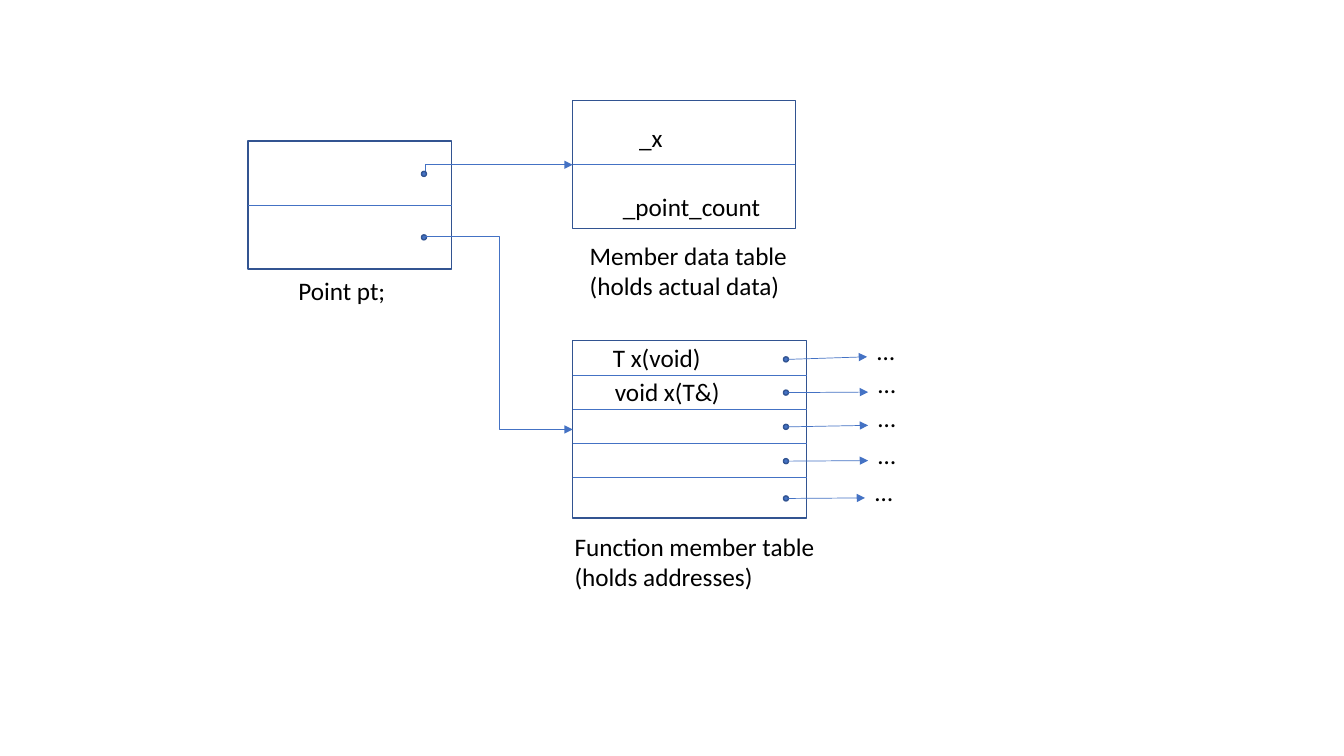
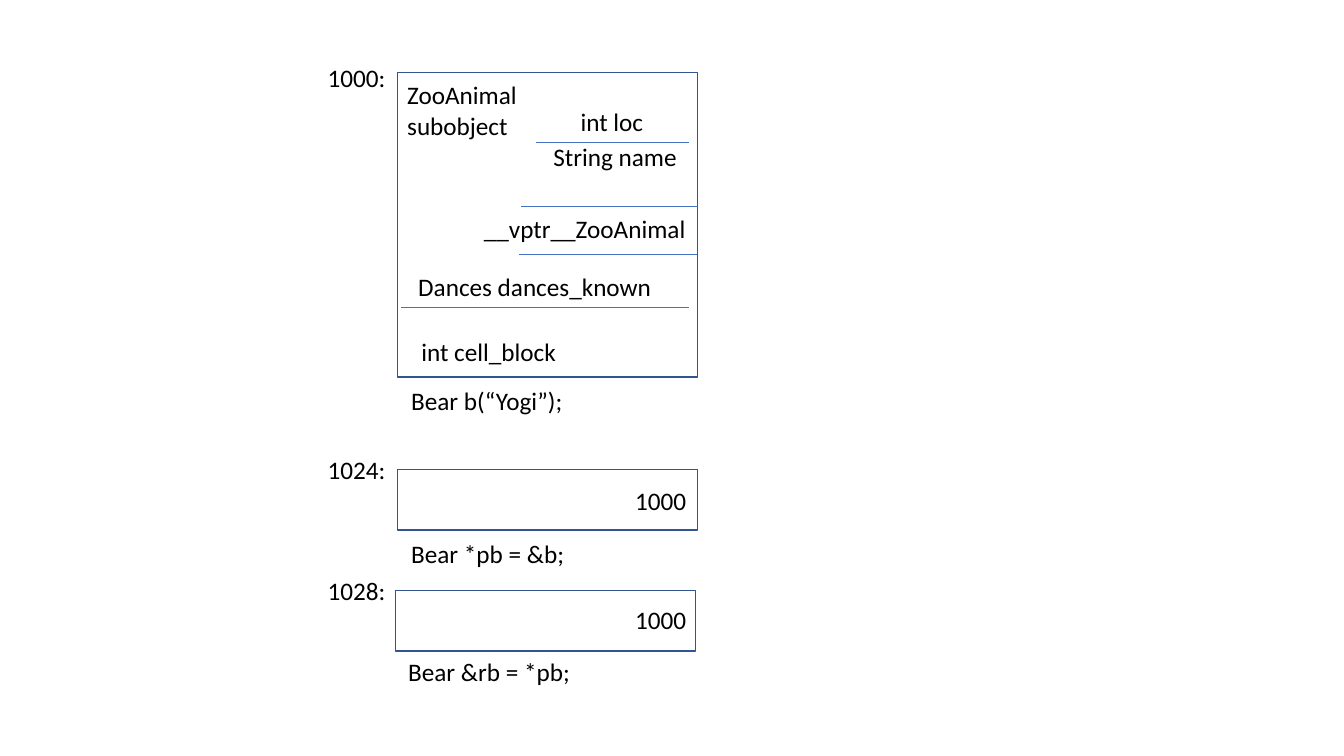
"""Build two C++ object memory layout diagrams."""
from lxml import etree
from pptx import Presentation
from pptx.dml.color import RGBColor
from pptx.enum.shapes import MSO_CONNECTOR as CONN, MSO_SHAPE as SHAPE
from pptx.enum.text import MSO_AUTO_SIZE as FIT, MSO_VERTICAL_ANCHOR as ANCHOR
from pptx.oxml.ns import qn
from pptx.util import Inches, Pt

COLORS = {"edge": "325491", "line": "4472C4", "text": "000000"}
FONT = {"name": "Calibri", "size": Pt(18)}
LEFT, RIGHT = 1, 3
DOT = 0.05

POINT_BOX = (2.46, 1.4, 2.02, 1.27)
DATA_BOX = (5.68, 1, 2.21, 1.27)
FUNCTION_BOX = (5.68, 3.38, 2.32, 1.76)
FIRST_DIVIDER, DIVIDER_STEP, DIVIDERS = 3.72, 0.34, 4
FUNCTION_DOT_X = 7.77
FUNCTION_ROWS = [
    {"dot": 3.54, "tip": (8.6, 3.54), "text": 3.28},
    {"dot": 3.87, "tip": (8.61, 3.89), "text": 3.61},
    {"dot": 4.21, "tip": (8.61, 4.22), "text": 3.94},
    {"dot": 4.55, "tip": (8.61, 4.57), "text": 4.31},
    {"dot": 4.92, "tip": (8.58, 4.94), "text": 4.68},
]
POINT_DOTS = [(4.18, 1.7), (4.18, 2.33)]
POINT_LABELS = [
    ("_x", 6.24, 1.16, 0.74, 0.4),
    ("_point_count", 6.08, 1.85, 1.58, 0.4),
    ("Member data table\n(holds actual data)", 5.75, 2.33, 2.18, 0.71),
    ("Function member table\n(holds addresses)", 5.6, 5.22, 2.61, 0.71),
    ("T x(void)", 5.98, 3.35, 1.08, 0.4),
    ("void x(T&)", 6, 3.68, 1.25, 0.4),
    ("Point pt;", 2.86, 2.68, 1.08, 0.4),
]

BEAR_BOXES = [
    (3.94, 0.72, 2.98, 3.02),
    (3.94, 4.66, 2.98, 0.6),
    (3.92, 5.86, 2.98, 0.6),
]
BEAR_DIVIDERS = [
    (5.32, 6.83, 1.41),
    (5.17, 6.92, 2.05),
    (5.15, 6.91, 2.52),
    (3.98, 6.83, 3.05),
]
BEAR_LABELS = [
    ("1000:", 3.15, 0.57, 0.78, 0.4),
    ("ZooAnimal\nsubobject", 3.94, 0.74, 1.3, 0.71),
    ("int loc", 5.66, 1.01, 0.83, 0.4),
    ("String name", 5.39, 1.35, 1.44, 0.4),
    ("__vptr__ZooAnimal", 4.7, 2.07, 2.22, 0.4),
    ("Dances dances_known", 4.05, 2.64, 2.54, 0.4),
    ("int cell_block", 4.08, 3.29, 1.55, 0.4),
    ("Bear b(“Yogi”);", 3.98, 3.77, 1.72, 0.4),
    ("1024:", 3.15, 4.46, 0.78, 0.4),
    ("1000", 6.2, 4.77, 0.71, 0.4),
    ("Bear *pb = &b;", 3.98, 5.29, 1.74, 0.4),
    ("1028:", 3.15, 5.66, 0.78, 0.4),
    ("1000", 6.2, 5.95, 0.71, 0.4),
    ("Bear &rb = *pb;", 3.95, 6.46, 1.83, 0.4),
]


def rgb(name):
    return RGBColor.from_string(COLORS[name])


def add_outline(s, kind, box, fill=None):
    sp = s.shapes.add_shape(kind, *map(Inches, box))
    sp.shadow.inherit = False
    if fill:
        sp.fill.solid()
        sp.fill.fore_color.rgb = rgb(fill)
    else:
        sp.fill.background()
    sp.line.color.rgb = rgb("edge")
    sp.line.width = Pt(1)
    return sp


def add_dot(s, x, y):
    return add_outline(s, SHAPE.OVAL, (x, y, DOT, DOT), "line")


def add_line(s, start, end, arrow=False, kind=CONN.STRAIGHT):
    cx = s.shapes.add_connector(kind, *map(Inches, (*start, *end)))
    cx.line.color.rgb = rgb("line")
    cx.line.width = Pt(0.5)
    if arrow:
        etree.SubElement(cx.line._get_or_add_ln(), qn("a:tailEnd"), type="triangle")
    etree.SubElement(cx._element.spPr, qn("a:effectLst"))
    return cx


def add_elbow(s, start, end, bend, target):
    cx = add_line(s, start, end, True, CONN.ELBOW)
    geom = cx._element.spPr.find(qn("a:prstGeom"))
    guides = geom.find(qn("a:avLst"))
    if guides is None:
        guides = etree.SubElement(geom, qn("a:avLst"))
    etree.SubElement(guides, qn("a:gd"), name="adj1", fmla=f"val {round(bend * 100000)}")
    cx.end_connect(target, LEFT)


def add_label(s, text, *box):
    tf = s.shapes.add_textbox(*map(Inches, box)).text_frame
    tf.word_wrap = False
    tf.auto_size = FIT.SHAPE_TO_FIT_TEXT
    tf.vertical_anchor = ANCHOR.TOP
    tf.text = text
    for p in tf.paragraphs:
        for key, value in FONT.items():
            setattr(p.font, key, value)
        p.font.color.rgb = rgb("text")


def split_box(s, box):
    x, y, w, h = box
    sp = add_outline(s, SHAPE.RECTANGLE, box)
    cx = add_line(s, (x, y + h / 2), (x + w, y + h / 2))
    cx.begin_connect(sp, LEFT)
    cx.end_connect(sp, RIGHT)
    return sp


def build_point(s):
    split_box(s, POINT_BOX)
    data = split_box(s, DATA_BOX)
    functions = add_outline(s, SHAPE.RECTANGLE, FUNCTION_BOX)
    x, top, w, h = FUNCTION_BOX
    for i in range(DIVIDERS):
        y = FIRST_DIVIDER + i * DIVIDER_STEP
        add_line(s, (x, y), (x + w, y))
    for row in FUNCTION_ROWS:
        add_dot(s, FUNCTION_DOT_X, row["dot"])
        add_line(s, (FUNCTION_DOT_X + DOT, row["dot"] + DOT / 2), row["tip"], True)
        add_label(s, "…", row["tip"][0], row["text"], 0.38, 0.4)
    for dot in POINT_DOTS:
        add_dot(s, *dot)
    add_elbow(s, (4.22, 1.7), (DATA_BOX[0], DATA_BOX[1] + DATA_BOX[3] / 2), 0, data)
    add_elbow(s, (4.2, 2.34), (x, top + h / 2), 0.51, functions)
    for label in POINT_LABELS:
        add_label(s, *label)


def build_bear(s):
    for box in BEAR_BOXES:
        add_outline(s, SHAPE.RECTANGLE, box)
    for x1, x2, y in BEAR_DIVIDERS:
        add_line(s, (x1, y), (x2, y))
    for label in BEAR_LABELS:
        add_label(s, *label)


def main():
    prs = Presentation()
    prs.slide_width, prs.slide_height = Inches(13.33), Inches(7.5)
    for build in (build_point, build_bear):
        build(prs.slides.add_slide(prs.slide_layouts[6]))
    prs.save("out.pptx")


if __name__ == "__main__":
    main()
